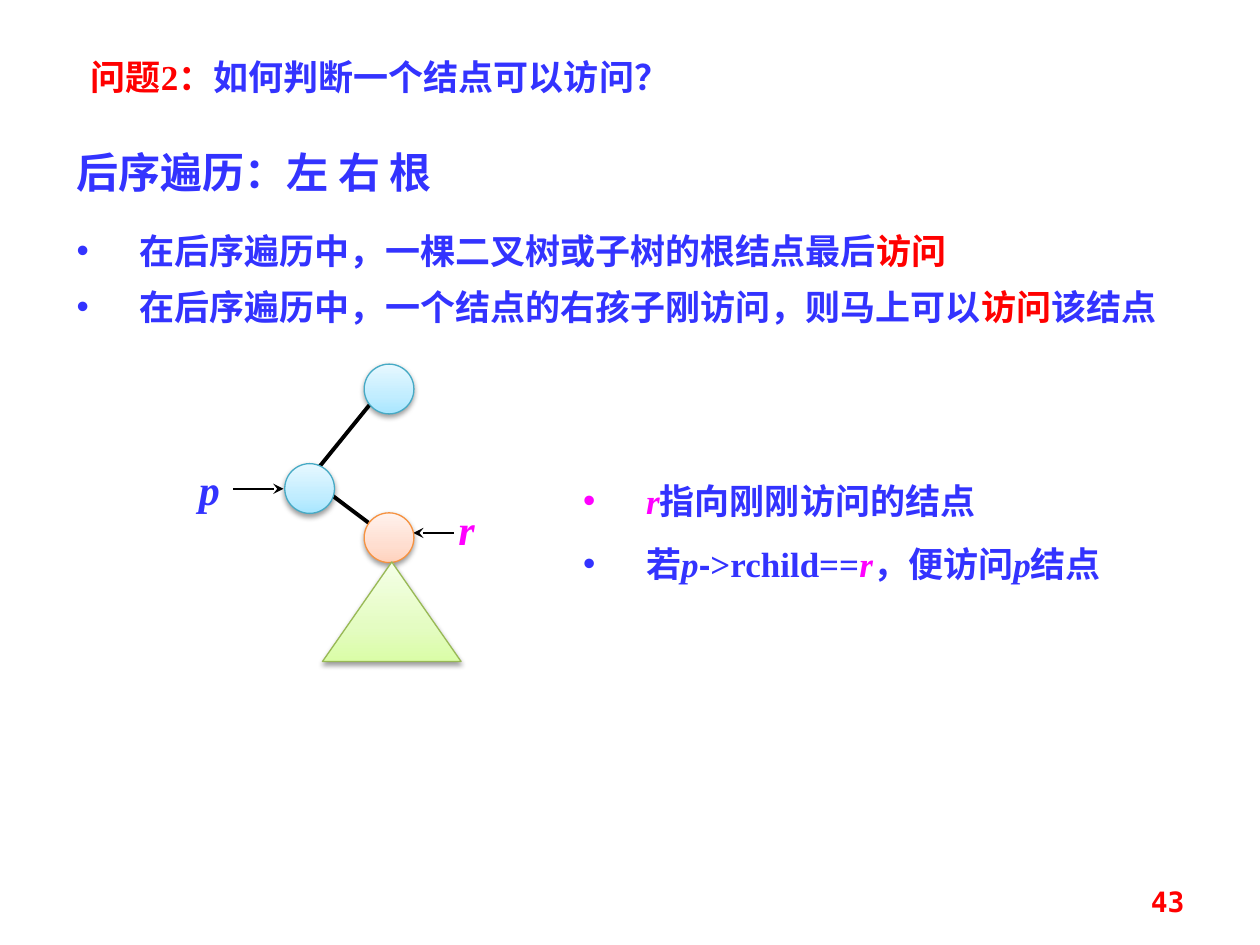
from lxml import etree
from pptx import Presentation
from pptx.dml.color import RGBColor
from pptx.enum.lang import MSO_LANGUAGE_ID as LANG
from pptx.enum.shapes import MSO_CONNECTOR, MSO_SHAPE
from pptx.enum.text import MSO_ANCHOR, MSO_AUTO_SIZE, PP_ALIGN
from pptx.oxml.ns import qn
from pptx.util import Pt

COLORS = {
    "blue": "3333FF", "red": "FF0000", "pink": "FF00FF", "black": "000000",
    "sky": ["A7E6FF", "C1EDFF", "E7F8FF", "46AAC5"],
    "peach": ["FFD2BD", "FFDED0", "FFF2ED", "F69240"],
    "lime": ["DAFDA7", "E4FCC2", "F5FFE7", "98B955"],
}
SERIF, CJK = "Times New Roman", "Noto Sans CJK SC"


def add_span(para, text, color="blue", size=20, font=SERIF, italic=False):
    span = para.add_run()
    span.text = text
    span.font.size = Pt(size)
    span.font.name = font
    span.font.bold = True
    span.font.italic = italic
    span.font.color.rgb = RGBColor.from_string(COLORS[color])
    span.font.language_id = LANG.SIMPLIFIED_CHINESE
    latin = span.font._element.find(qn("a:latin"))
    east = etree.Element(qn("a:ea"), typeface=CJK)
    latin.addnext(east)


def fill_box(box, paragraphs, bullet=False, spacing=None, align=PP_ALIGN.LEFT,
             anchor=MSO_ANCHOR.TOP, grow=MSO_AUTO_SIZE.SHAPE_TO_FIT_TEXT):
    frame = box.text_frame
    frame.word_wrap = True
    frame.auto_size = grow
    frame.vertical_anchor = anchor
    for index, spans in enumerate(paragraphs):
        para = frame.add_paragraph() if index else frame.paragraphs[0]
        para.alignment = align
        if spacing:
            para.line_spacing = spacing
        if bullet:
            properties = para._p.get_or_add_pPr()
            properties.set("marL", str(Pt(36)))
            properties.set("indent", str(-Pt(36)))
            etree.SubElement(properties, qn("a:buFont"), typeface="Arial")
            etree.SubElement(properties, qn("a:buChar"), char="•")
        for text, style in spans:
            add_span(para, text, **style)


deck = Presentation()
deck.slide_width, deck.slide_height = Pt(720), Pt(540)
page = deck.slides.add_slide(deck.slide_layouts[5])

title = page.shapes.title
title.left, title.top, title.width, title.height = Pt(44.64), Pt(28.08), Pt(450), Pt(31.68)
fill_box(title, [[("问题2：", {"color": "red"}), ("如何判断一个结点可以访问？", {})]])

red, pink = {"color": "red"}, {"color": "pink", "italic": True}
variable = {"italic": True}
text_boxes = [
    ((36.72, 119.52, 632.16, 68.4), [
        [("在后序遍历中，一棵二叉树或子树的根结点最后", {}), ("访问", red)],
        [("在后序遍历中，一个结点的右孩子刚访问，则马上可以", {}), ("访问", red), ("该结点", {})],
    ], {"bullet": True, "spacing": Pt(32)}),
    ((36.72, 79.92, 277.92, 36), [[("后序遍历：左 右 根", {"size": 24, "font": CJK})]], {}),
    ((254.88, 284.4, 33.84, 36), [[("r", {**pink, "size": 24})]], {}),
    ((106.56, 261.36, 39.6, 36), [[("p", {**variable, "size": 24})]], {}),
    ((326.16, 258.48, 331.92, 79.92), [
        [("r", pink), ("指向刚刚访问的结点", {})],
        [("若", {}), ("p", variable), ("-", {"font": "Arial"}), (">rchild==", {}),
         ("r", pink), ("，便访问", {}), ("p", variable), ("结点", {})],
    ], {"bullet": True, "spacing": 1.5}),
    ((516.24, 500.4, 167.76, 28.8),
     [[("43", {"color": "red", "size": 16, "font": "DejaVu Sans Mono"})]],
     {"align": PP_ALIGN.RIGHT, "anchor": MSO_ANCHOR.MIDDLE, "grow": MSO_AUTO_SIZE.NONE}),
]
for place, paragraphs, layout in text_boxes:
    box = page.shapes.add_textbox(*map(Pt, place))
    fill_box(box, paragraphs, **layout)

lines = [
    ((213.12, 228.96, 179.28, 270.72), 2.25, False),
    ((188.64, 282.24, 211.68, 299.52), 2.25, False),
    ((133.2, 279.36, 162, 279.36), 0.75, True),
    ((259.2, 304.56, 236.16, 304.56), 0.75, True),
]
for ends, width, arrow in lines:
    line = page.shapes.add_connector(MSO_CONNECTOR.STRAIGHT, *map(Pt, ends))
    line.line.width = Pt(width)
    line.line.color.rgb = RGBColor.from_string(COLORS["black"])
    etree.SubElement(line._element.spPr, qn("a:effectLst"))
    if arrow:
        etree.SubElement(line.line._get_or_add_ln(), qn("a:tailEnd"), type="stealth")

nodes = [
    (MSO_SHAPE.OVAL, (208.08, 208.08, 28.44, 28.44), "sky"),
    (MSO_SHAPE.OVAL, (162.72, 264.96, 28.44, 28.44), "sky"),
    (MSO_SHAPE.OVAL, (208.08, 293.04, 28.44, 28.44), "peach"),
    (MSO_SHAPE.ISOSCELES_TRIANGLE, (184.32, 321.12, 79.2, 56.88), "lime"),
]
for kind, place, palette in nodes:
    node = page.shapes.add_shape(kind, *map(Pt, place))
    *tones, outline = COLORS[palette]
    node.fill.gradient()
    node.fill.gradient_angle = 90
    stops = node._element.spPr.find(".//" + qn("a:gsLst"))
    for stop in list(stops):
        stops.remove(stop)
    for position, tone in zip((0, 35000, 100000), tones):
        stop = etree.SubElement(stops, qn("a:gs"), pos=str(position))
        etree.SubElement(stop, qn("a:srgbClr"), val=tone)
    node.line.width = Pt(0.75)
    node.line.color.rgb = RGBColor.from_string(outline)
    node.shadow.inherit = False
    effects = node._element.spPr.find(qn("a:effectLst"))
    shadow = etree.SubElement(effects, qn("a:outerShdw"), blurRad=str(Pt(3.1)),
                              dist=str(Pt(1.6)), dir="5400000", rotWithShape="0")
    shade = etree.SubElement(shadow, qn("a:srgbClr"), val=COLORS["black"])
    etree.SubElement(shade, qn("a:alpha"), val="38000")

deck.save("out.pptx")
